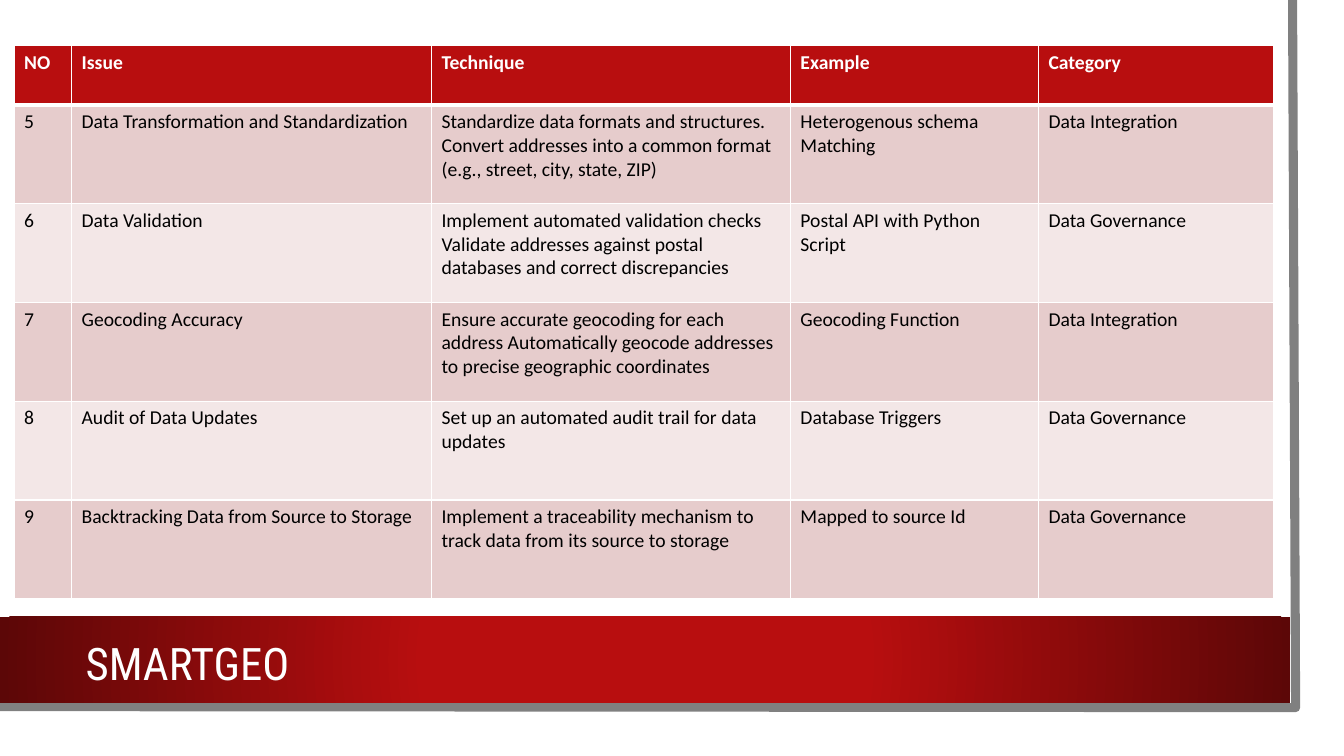
from lxml.etree import SubElement
from pptx import Presentation
from pptx.dml.color import RGBColor
from pptx.enum.shapes import MSO_SHAPE as SHAPE
from pptx.enum.text import MSO_ANCHOR as ANCHOR
from pptx.oxml import parse_xml
from pptx.oxml.ns import nsdecls, qn
from pptx.util import Inches, Pt

WHITE = RGBColor(0xFF, 0xFF, 0xFF)
BLACK = RGBColor(0x00, 0x00, 0x00)
GREY = RGBColor(0x80, 0x80, 0x80)
RED = RGBColor(0xB8, 0x0E, 0x0F)
DARK_RED = RGBColor(0x5C, 0x07, 0x07)
PINK = RGBColor(0xE6, 0xCC, 0xCC)
PALE_PINK = RGBColor(0xF3, 0xE7, 0xE7)

COL_WIDTHS = [0.57, 3.57, 3.56, 2.46, 2.33]
ROW_HEIGHTS = [0.59] + [0.98] * 5
ROWS = [
    ("NO", "Issue", "Technique", "Example", "Category"),
    ("5", "Data Transformation and Standardization",
     "Standardize data formats and structures. Convert addresses into a common "
     "format (e.g., street, city, state, ZIP)",
     "Heterogenous schema Matching", "Data Integration"),
    ("6", "Data Validation",
     "Implement automated validation checks Validate addresses against postal "
     "databases and correct discrepancies",
     "Postal API with Python Script", "Data Governance"),
    ("7", "Geocoding Accuracy",
     "Ensure accurate geocoding for each address Automatically geocode addresses "
     "to precise geographic coordinates",
     "Geocoding Function", "Data Integration"),
    ("8", "Audit of Data Updates",
     "Set up an automated audit trail for data updates",
     "Database Triggers", "Data Governance"),
    ("9", "Backtracking Data from Source to Storage",
     "Implement a traceability mechanism to track data from its source to storage",
     "Mapped to source Id", "Data Governance"),
]


def write(tf, text, font="Calibri", size=14, color=BLACK, bold=False):
    r = tf.paragraphs[0].add_run()
    r.text = text
    r.font.name, r.font.size, r.font.bold = font, Pt(size), bold
    r.font.color.rgb = color


class SlideBuilder:
    title_font = "Roboto Condensed"

    def __init__(self, prs):
        self.s = prs.slides.add_slide(prs.slide_layouts[6])

    def rect(self, x, y, w, h, color):
        sp = self.s.shapes.add_shape(SHAPE.RECTANGLE, *map(Inches, (x, y, w, h)))
        sp.shadow.inherit = False
        sp.fill.solid()
        sp.fill.fore_color.rgb = color
        sp.line.fill.background()
        return sp

    def radial_band(self, x, y, w, h, inner, outer):
        pr = self.rect(x, y, w, h, inner)._element.spPr
        pr.replace(pr.find(qn("a:solidFill")), parse_xml(
            f'<a:gradFill {nsdecls("a")} rotWithShape="1"><a:gsLst>'
            f'<a:gs pos="34000"><a:srgbClr val="{inner}"/></a:gs>'
            f'<a:gs pos="100000"><a:srgbClr val="{outer}"/></a:gs></a:gsLst>'
            '<a:path path="circle"><a:fillToRect l="50000" t="50000" r="50000" b="50000"/>'
            '</a:path></a:gradFill>'))

    def polyline(self, points, color, width):
        start, *rest = [(Inches(x), Inches(y)) for x, y in points]
        fb = self.s.shapes.build_freeform(*start)
        fb.add_line_segments(rest, close=False)
        sp = fb.convert_to_shape()
        sp.shadow.inherit = False
        sp.fill.background()
        sp.line.color.rgb, sp.line.width = color, Pt(width)

    def title(self, x, y, w, h, text):
        tf = self.s.shapes.add_textbox(*map(Inches, (x, y, w, h))).text_frame
        tf.word_wrap = True
        tf.vertical_anchor = ANCHOR.MIDDLE
        write(tf, text, font=self.title_font, size=32, color=WHITE)

    def borders(self, cell, **widths):
        pr = cell._tc.get_or_add_tcPr()
        for side in "LRTB":
            ln = SubElement(pr, qn(f"a:ln{side}"), w=str(Pt(widths.get(side, 1))))
            fill = SubElement(ln, qn("a:solidFill"))
            SubElement(fill, qn("a:srgbClr"), val=str(WHITE))

    def table(self, x, y, rows, widths, heights):
        size = map(Inches, (x, y, sum(widths), sum(heights)))
        table = self.s.shapes.add_table(len(rows), len(widths), *size).table
        for col, w in zip(table.columns, widths):
            col.width = Inches(w)
        for i, (row, h, texts) in enumerate(zip(table.rows, heights, rows)):
            row.height = Inches(h)
            header = i == 0
            fill = RED if header else PINK if i % 2 else PALE_PINK
            for cell, text in zip(row.cells, texts):
                # Thick rule between the header and the first row
                self.borders(cell, B=3 if header else 1, T=3 if i == 1 else 1)
                cell.fill.solid()
                cell.fill.fore_color.rgb = fill
                write(cell.text_frame, text, color=WHITE if header else BLACK, bold=header)


def main():
    prs = Presentation()
    prs.slide_width, prs.slide_height = Inches(13.33), Inches(7.5)
    b = SlideBuilder(prs)

    # Page panel, grey edge and footer band
    b.rect(0, 0, 13.1, 7.27, WHITE)
    b.polyline([(12.82, 0), (12.85, 7.02), (-0.03, 7.01)], GREY, 6.5)
    b.radial_band(0, 6.12, 12.8, 0.85, RED, DARK_RED)
    b.title(0.75, 6.3, 6.01, 0.55, "SMARTGEO")

    # Issues table
    b.table(0.14, 0.45, ROWS, COL_WIDTHS, ROW_HEIGHTS)
    prs.save("out.pptx")


if __name__ == "__main__":
    main()
